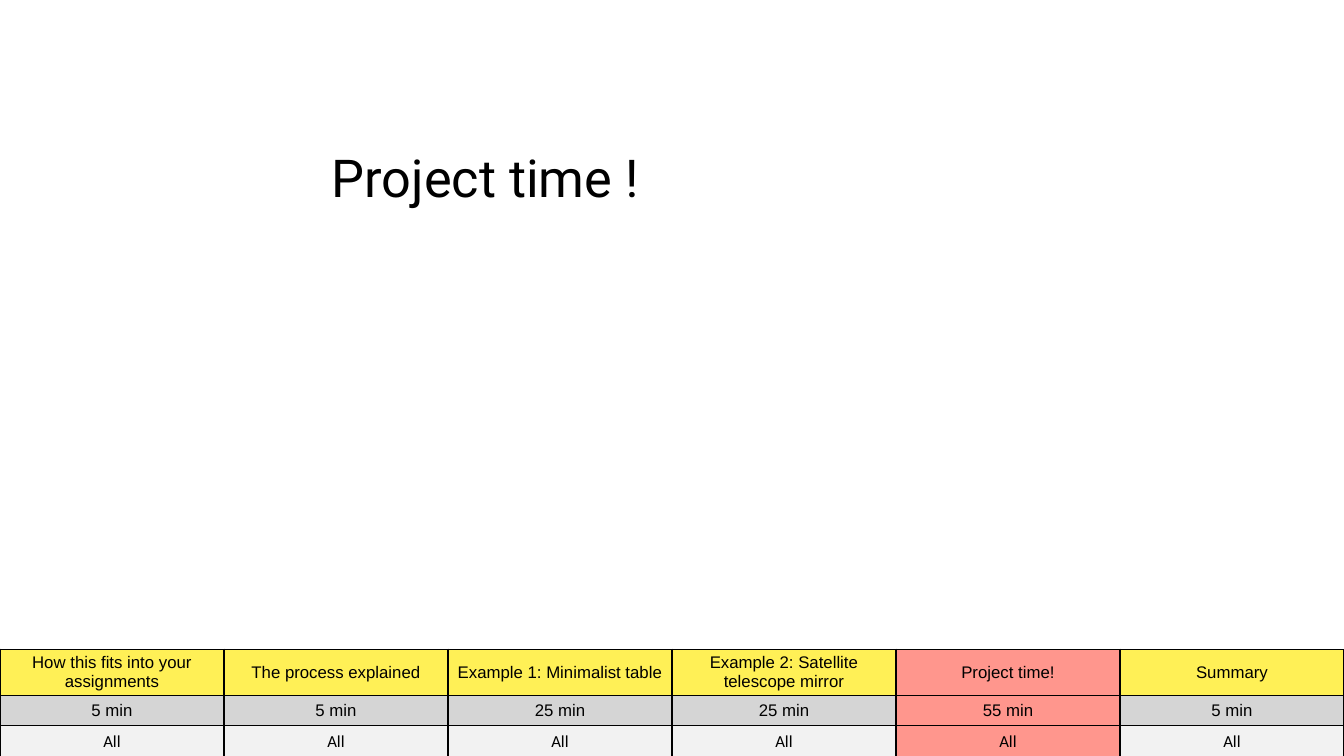
from lxml.etree import SubElement
from pptx import Presentation
from pptx.dml.color import RGBColor
from pptx.enum.text import MSO_ANCHOR, PP_ALIGN
from pptx.oxml.ns import qn
from pptx.util import Inches, Pt

WIDE, HIGH = 13.33, 7.5
HUES = {"ink": "000000", "head": "FFF056", "time": "D5D5D5",
        "who": "F2F2F2", "now": "FF968D"}


def write(frame, text, size=12, font="Arial", hue="ink", align=PP_ALIGN.CENTER,
          inset=0.03, before=0, line=None):
    """Put one formatted paragraph into a text frame or table cell."""
    frame.margin_left = frame.margin_right = Inches(inset)
    frame.margin_top = frame.margin_bottom = Inches(inset)
    para = getattr(frame, "text_frame", frame).paragraphs[0]
    para.alignment = align
    para.space_before = Pt(before)
    para.line_spacing = line
    run = para.add_run()
    run.text = text
    run.font.size = Pt(size)
    run.font.name = font
    run.font.color.rgb = RGBColor.from_string(HUES[hue])


class Deck:
    """Holds the style and the current slide; places are shares of the slide."""

    def __init__(self):
        self.show = Presentation()
        self.show.slide_width, self.show.slide_height = self.spot(1, 1)
        self.page = self.show.slides.add_slide(self.show.slide_layouts[6])

    def spot(self, x, y):
        return Inches(x * WIDE), Inches(y * HIGH)

    def title(self, text, x, y, w, h):
        box = self.page.shapes.add_textbox(*self.spot(x, y), *self.spot(w, h))
        frame = box.text_frame
        frame.word_wrap = True
        frame.vertical_anchor = MSO_ANCHOR.BOTTOM
        write(frame, text, size=37.3, font="Roboto", align=PP_ALIGN.LEFT,
              inset=0.06, before=22.5, line=0.9)

    def edge(self, cell, width=1):
        props = cell._tc.get_or_add_tcPr()
        for side in "LRTB":
            line = SubElement(props, qn(f"a:ln{side}"), w=str(Pt(width)))
            fill = SubElement(line, qn("a:solidFill"))
            SubElement(fill, qn("a:srgbClr"), val=HUES["ink"])

    def table(self, rows, y, now):
        """Draw rows of (hue, font, height share, texts); mark column now."""
        count = len(rows[0][3])
        tall = sum(row[2] for row in rows)
        grid = self.page.shapes.add_table(
            len(rows), count, *self.spot(0, y), *self.spot(1, tall)).table
        grid.first_row = grid.horz_banding = False
        for col in grid.columns:
            col.width = Inches(WIDE / count)
        for r, (hue, font, high, texts) in enumerate(rows):
            grid.rows[r].height = Inches(high * HIGH)
            for c, text in enumerate(texts):
                cell = grid.cell(r, c)
                cell.vertical_anchor = MSO_ANCHOR.MIDDLE
                write(cell, text, font=font)
                self.edge(cell)
                cell.fill.solid()
                tint = HUES["now" if c == now else hue]
                cell.fill.fore_color.rgb = RGBColor.from_string(tint)


def main():
    deck = Deck()

    # Title
    deck.title("Project time !", 3.23 / WIDE, 0.87 / HIGH,
               10.05 / WIDE, 1.26 / HIGH)

    # Agenda bar, with the current part marked
    plan = [("How this fits into your assignments", 5),
            ("The process explained", 5),
            ("Example 1: Minimalist table", 25),
            ("Example 2: Satellite telescope mirror", 25),
            ("Project time!", 55),
            ("Summary", 5)]
    rows = [("head", "Arial", 0.46 / HIGH, [name for name, _ in plan]),
            ("time", "Arial", 0.3 / HIGH, [f"{span} min" for _, span in plan]),
            ("who", "Calibri", 0.31 / HIGH, ["All"] * len(plan))]
    deck.table(rows, 6.44 / HIGH, now=4)

    deck.show.save("out.pptx")


if __name__ == "__main__":
    main()
